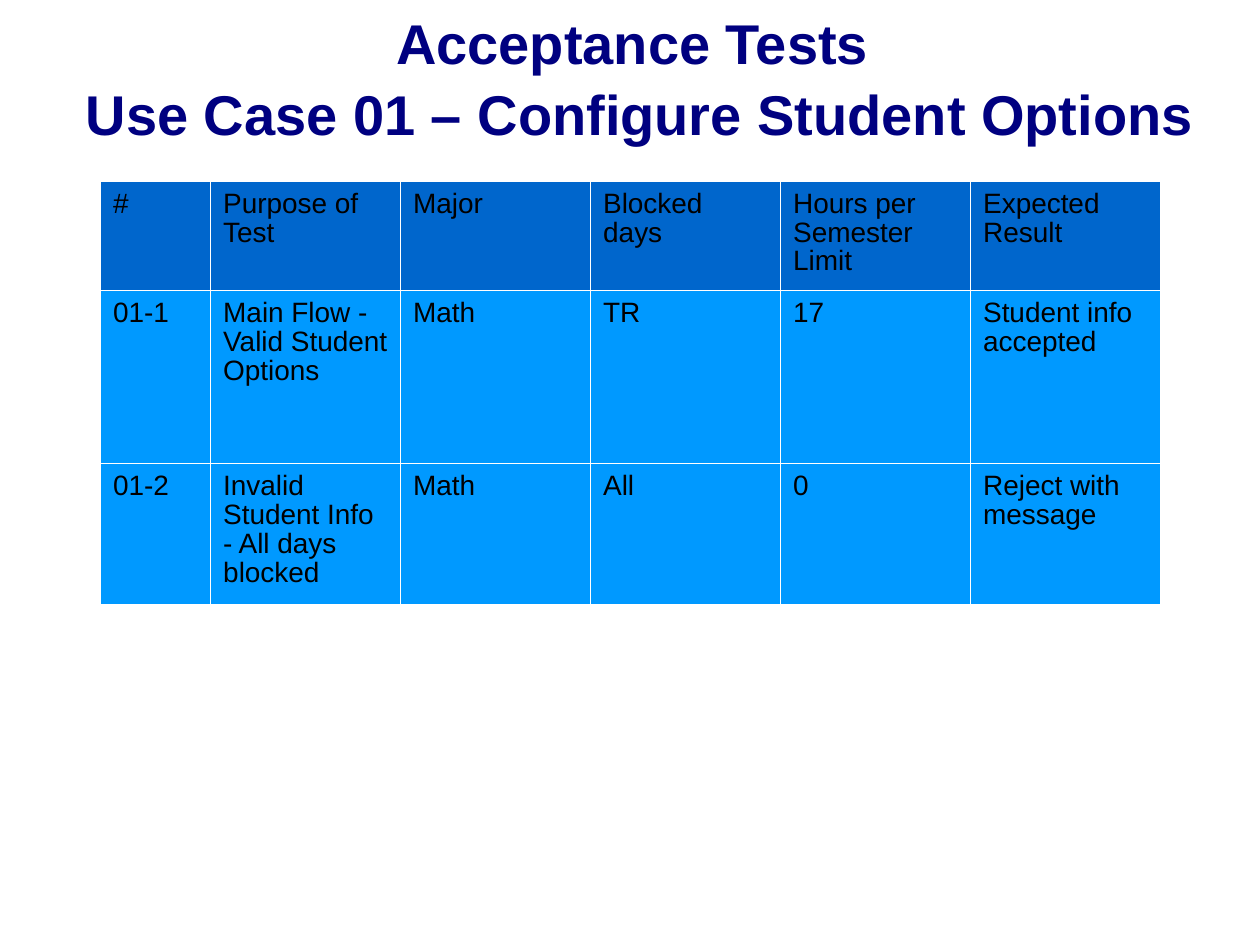
from dataclasses import dataclass

from lxml import etree
from pptx import Presentation
from pptx.dml.color import RGBColor
from pptx.enum.text import MSO_ANCHOR, PP_ALIGN
from pptx.oxml.ns import qn
from pptx.slide import Slide
from pptx.table import _Cell
from pptx.text.text import _Paragraph
from pptx.util import Cm, Pt

CENTER = PP_ALIGN.CENTER
LEFT = PP_ALIGN.LEFT
MIDDLE = MSO_ANCHOR.MIDDLE
TOP = MSO_ANCHOR.TOP
BLANK_LAYOUT = 6


@dataclass(frozen=True)
class Theme:
    font: str = "Arial"
    title_color: str = "000080"
    text_color: str = "000000"
    header_fill: str = "0066CC"
    body_fill: str = "0099FF"
    border_color: str = "FFFFFF"
    title_size: float = 32
    table_size: float = 16
    border_width: float = 0.75


@dataclass(frozen=True)
class AcceptanceTest:
    number: str
    purpose: str
    major: str
    blocked_days: str
    hours_limit: str
    expected_result: str

    def texts(self) -> list[str]:
        return [self.number, self.purpose, self.major,
                self.blocked_days, self.hours_limit, self.expected_result]


THEME = Theme()
TITLE = "Acceptance Tests \vUse Case 01 – Configure Student Options"
ROWS = [
    AcceptanceTest("#", "Purpose of Test", "Major", "Blocked days",
                   "Hours per Semester Limit", "Expected Result"),
    AcceptanceTest("01-1", "Main Flow - Valid Student Options", "Math", "TR",
                   "17", "Student info accepted"),
    AcceptanceTest("01-2", "Invalid Student Info - All days blocked", "Math", "All",
                   "0", "Reject with message"),
]
COLUMN_WIDTHS = [Cm(2.22)] + [Cm(3.83)] * 5
ROW_HEIGHTS = [Cm(2.19), Cm(3.5), Cm(2.82)]

TITLE_FRAME = {"word_wrap": True, "vertical_anchor": MIDDLE}
TITLE_PARAGRAPH = {"alignment": CENTER, "line_spacing": 1.05}
TITLE_FONT = {"name": THEME.font, "size": Pt(THEME.title_size), "bold": True}
CELL_FORMAT = {"margin_left": Cm(0.25), "margin_right": Cm(0.25),
               "margin_top": Cm(0.18), "margin_bottom": Cm(0.13),
               "vertical_anchor": TOP}
CELL_PARAGRAPH = {"alignment": LEFT, "line_spacing": 0.93}
CELL_FONT = {"name": THEME.font, "size": Pt(THEME.table_size), "bold": False}


def apply_format(target: object, values: dict) -> None:
    for name, value in values.items():
        setattr(target, name, value)


def write_paragraph(paragraph: _Paragraph, text: str, layout: dict,
                    font: dict, color: str) -> None:
    paragraph.text = text
    apply_format(paragraph, layout)
    apply_format(paragraph.font, font)
    paragraph.font.color.rgb = RGBColor.from_string(color)


def add_borders(cell: _Cell) -> None:
    """Draw all four sides; border elements must precede the cell's fill."""
    properties = cell._tc.get_or_add_tcPr()
    for index, side in enumerate(("a:lnL", "a:lnR", "a:lnT", "a:lnB")):
        line = etree.Element(qn(side), w=str(Pt(THEME.border_width)))
        fill = etree.SubElement(line, qn("a:solidFill"))
        etree.SubElement(fill, qn("a:srgbClr"), val=THEME.border_color)
        properties.insert(index, line)


def fill_cell(cell: _Cell, text: str, color: str) -> None:
    apply_format(cell, CELL_FORMAT)
    cell.fill.solid()
    cell.fill.fore_color.rgb = RGBColor.from_string(color)
    add_borders(cell)
    write_paragraph(cell.text_frame.paragraphs[0], text,
                    CELL_PARAGRAPH, CELL_FONT, THEME.text_color)


def add_title(slide: Slide) -> None:
    shape = slide.shapes.add_textbox(Cm(1.27), Cm(0.05), Cm(23.27), Cm(2.97))
    apply_format(shape.text_frame, TITLE_FRAME)
    write_paragraph(shape.text_frame.paragraphs[0], TITLE,
                    TITLE_PARAGRAPH, TITLE_FONT, THEME.title_color)


def add_test_table(slide: Slide) -> None:
    shape = slide.shapes.add_table(len(ROWS), len(COLUMN_WIDTHS), Cm(2.03), Cm(3.65),
                                   sum(COLUMN_WIDTHS), sum(ROW_HEIGHTS))
    table = shape.table
    for column, width in zip(table.columns, COLUMN_WIDTHS):
        column.width = width
    for index, (row, height, test) in enumerate(zip(table.rows, ROW_HEIGHTS, ROWS)):
        row.height = height
        color = THEME.body_fill if index else THEME.header_fill
        for cell, text in zip(row.cells, test.texts()):
            fill_cell(cell, text, color)


def main() -> None:
    presentation = Presentation()
    presentation.slide_width = Cm(25.4)
    presentation.slide_height = Cm(19.05)
    slide = presentation.slides.add_slide(presentation.slide_layouts[BLANK_LAYOUT])
    add_title(slide)
    add_test_table(slide)
    presentation.save("out.pptx")


if __name__ == "__main__":
    main()
